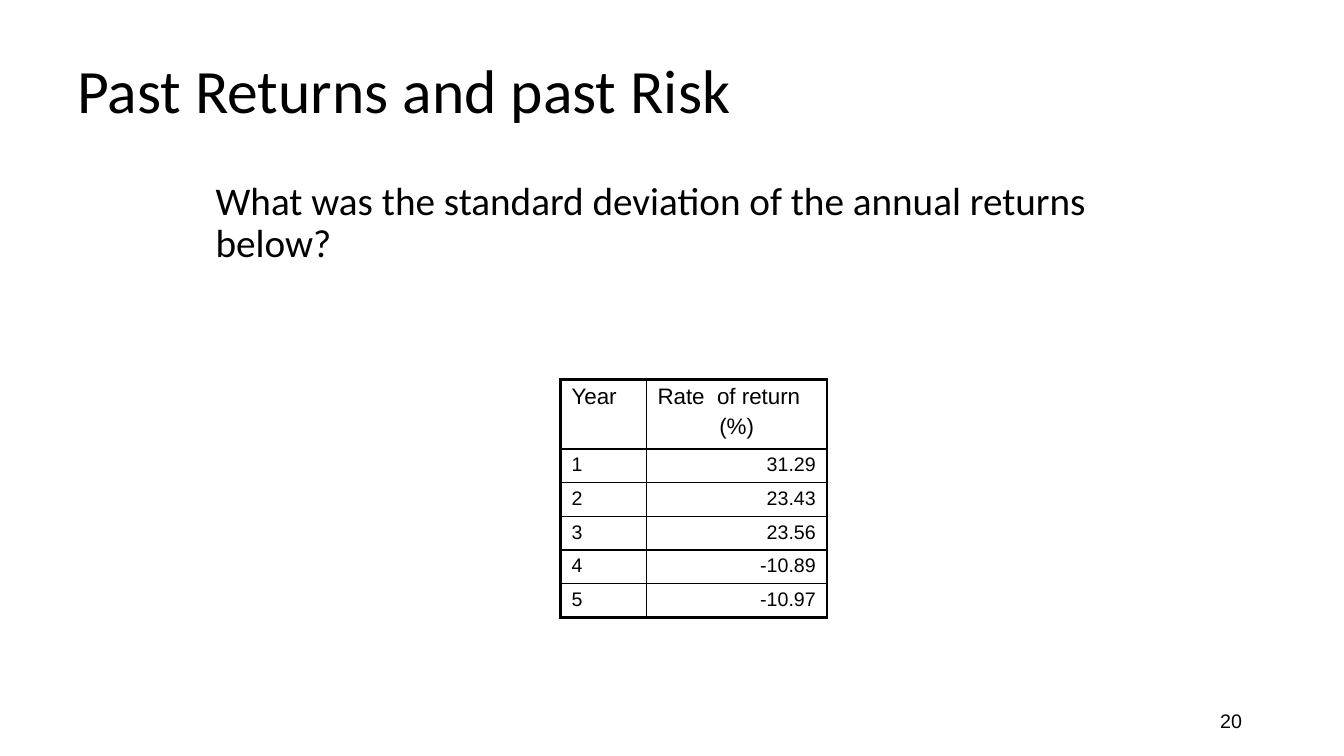
from lxml.etree import SubElement
from pptx import Presentation
from pptx.dml.color import RGBColor
from pptx.enum.text import MSO_ANCHOR as Anchor, PP_ALIGN as Align
from pptx.oxml.ns import qn
from pptx.util import Inches, Pt

THIN, THICK = 1, 2.25


def rgb(code):
    return RGBColor.from_string(code)


def write(p, text, font="Calibri", size=14, color="000000", align=Align.LEFT,
          spacing=1.0, before=0, indent=0):
    if indent:
        p._p.get_or_add_pPr().set("marL", str(Inches(indent)))
    p.alignment, p.line_spacing, p.space_before = align, spacing, Pt(before)
    r = p.add_run()
    r.text = text
    r.font.name, r.font.size = font, Pt(size)
    r.font.color.rgb = rgb(color)


class Deck:
    """Slide builder on a 100 by 100 grid with one shared style."""

    ink, paper = "000000", "FFFFFF"

    def __init__(self):
        self.prs = Presentation()
        self.prs.slide_width, self.prs.slide_height = Inches(13.33), Inches(7.5)
        self.s = self.prs.slides.add_slide(self.prs.slide_layouts[6])

    def col(self, n):
        return round(self.prs.slide_width * n / 100)

    def row(self, n):
        return round(self.prs.slide_height * n / 100)

    def box(self, x, y, w, h):
        return self.col(x), self.row(y), self.col(w), self.row(h)

    def text(self, box, text, anchor=Anchor.TOP, fill=None, **fmt):
        sp = self.s.shapes.add_textbox(*self.box(*box))
        if fill:
            sp.fill.solid()
            sp.fill.fore_color.rgb = rgb(fill)
        tf = sp.text_frame
        tf.word_wrap, tf.vertical_anchor = True, anchor
        write(tf.paragraphs[0], text, color=self.ink, **fmt)

    def borders(self, cell, **widths):
        tc_pr = cell._tc.get_or_add_tcPr()
        for i, (side, width) in enumerate(widths.items()):
            ln = SubElement(tc_pr, qn(f"a:ln{side}"), w=str(Pt(width)))
            fill = SubElement(ln, qn("a:solidFill"))
            SubElement(fill, qn("a:srgbClr"), val=self.ink)
            tc_pr.remove(ln)
            tc_pr.insert(i, ln)

    def table(self, x, y, cols, rows, data):
        box = self.box(x, y, sum(cols), sum(rows))
        tbl = self.s.shapes.add_table(len(rows), len(cols), *box).table
        for column, width in zip(tbl.columns, cols):
            column.width = self.col(width)
        for line, height in zip(tbl.rows, rows):
            line.height = self.row(height)
        last_row, last_col = len(rows) - 1, len(cols) - 1
        for i, values in enumerate(data):
            size = 14 if i else 16
            for j, value in enumerate(values):
                cell = tbl.cell(i, j)
                cell.fill.background()
                cell.margin_left = cell.margin_right = Inches(0.11)
                cell.margin_top = cell.margin_bottom = Inches(0.05)
                tf = cell.text_frame
                for k, part in enumerate(value.split("\n")):
                    p = tf.add_paragraph() if k else tf.paragraphs[0]
                    align = Align.CENTER if k else Align.RIGHT if i and j else Align.LEFT
                    write(p, part, font="Arial", size=size, color=self.ink,
                          align=align, before=0.2 * size if k else 0)
                self.borders(cell, L=THIN if j else THICK,
                             R=THICK if j == last_col else THIN,
                             T=THIN if i else THICK,
                             B=THICK if i == last_row else THIN)


def main():
    deck = Deck()
    deck.text((70.65, 92.67, 22.5, 5.33), "20", anchor=Anchor.MIDDLE,
              font="Arial", size=14, align=Align.RIGHT)
    deck.text((5, 4, 90, 16.67), "Past Returns and past Risk",
              anchor=Anchor.MIDDLE, fill=deck.paper, size=44, spacing=0.9)
    deck.text((13.43, 23.33, 73.65, 66),
              "What was the standard deviation of the annual returns below?",
              size=28, spacing=0.9, indent=0.25)
    returns = ["31.29", "23.43", "23.56", "-10.89", "-10.97"]
    data = [("Year", "Rate  of return\n(%)")]
    data += [(str(year), value) for year, value in enumerate(returns, 1)]
    deck.table(41.7, 50.2, [6.4, 13.43], [9.2] + [4.44] * len(returns), data)
    deck.prs.save("out.pptx")


if __name__ == "__main__":
    main()
